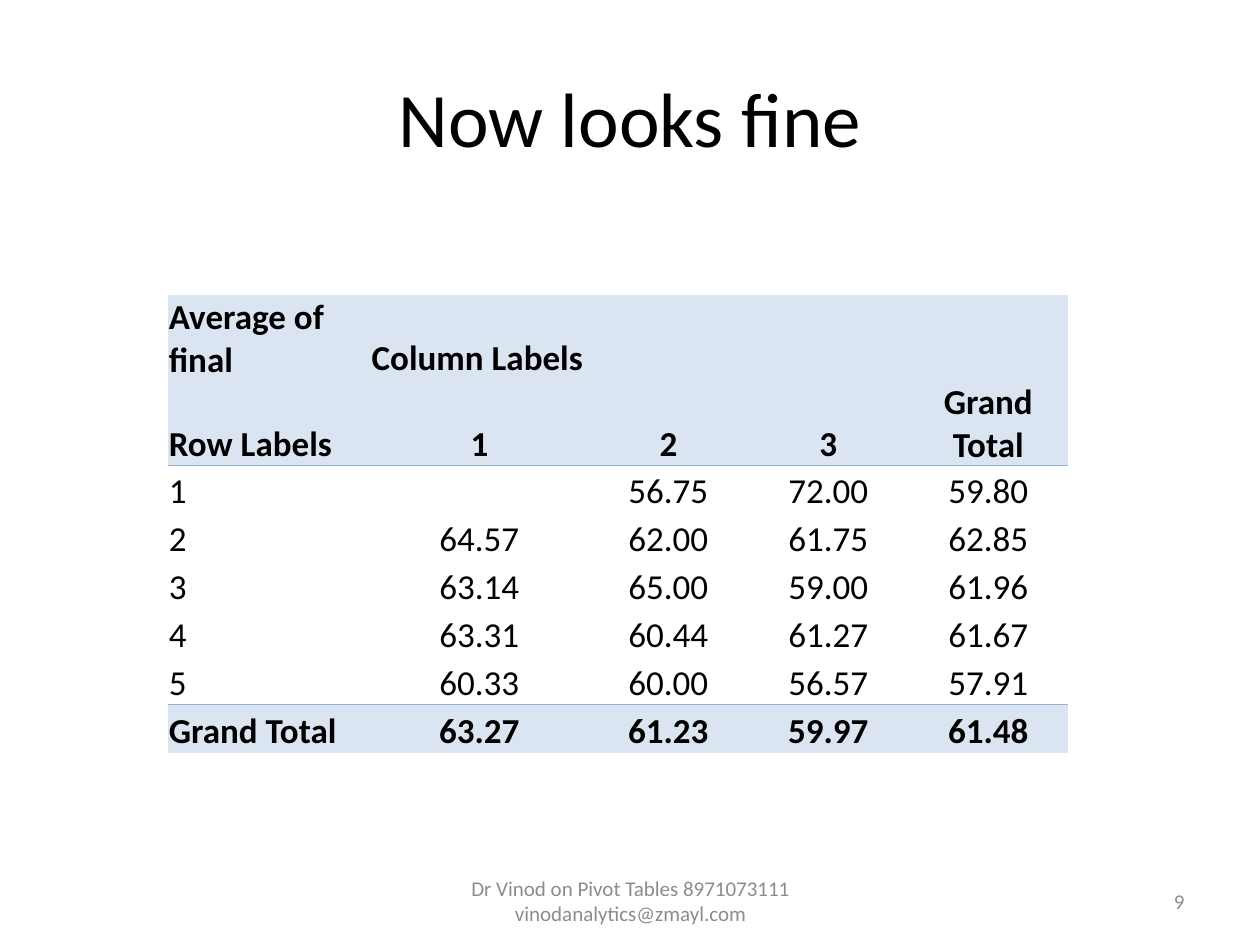
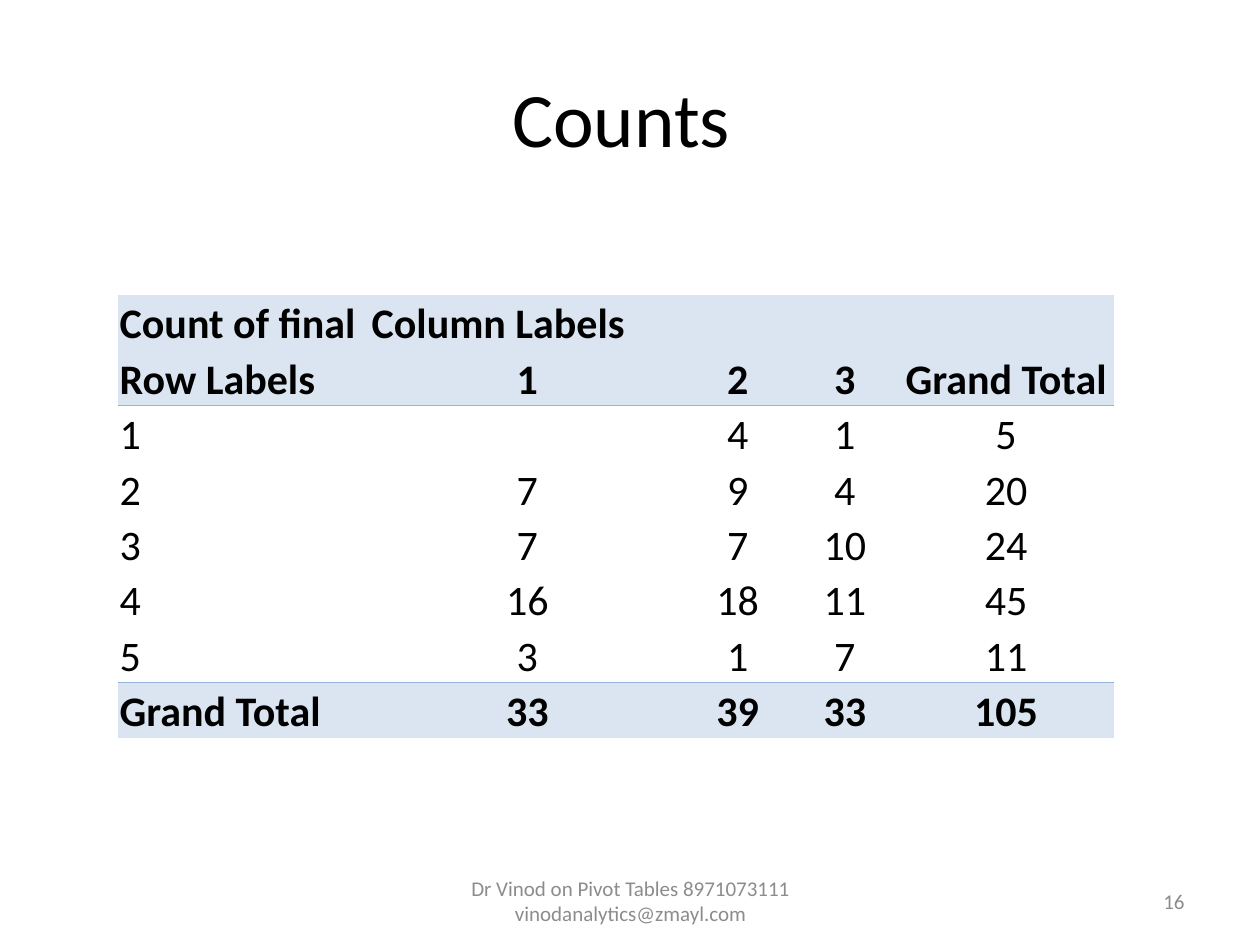
from lxml.etree import SubElement
from pptx import Presentation
from pptx.dml.color import RGBColor
from pptx.enum.text import MSO_ANCHOR, PP_ALIGN
from pptx.oxml.ns import qn
from pptx.util import Inches, Pt

FONT = "Calibri"
COLORS = {"text": "000000", "footer": "8C8C8C", "band": "DBE5F1", "rule": "95B3D7"}
FOOTER = "Dr Vinod on Pivot Tables 8971073111 vinodanalytics@zmayl.com"
PLAIN_TABLE_STYLE = "{2D5ABB26-0587-4C30-8999-92F81FD0307C}"
TABLE_TOP = 2.34

AVERAGES = [
    ["Average of final", "Column Labels", "", "", ""],
    ["Row Labels", "1", "2", "3", "Grand Total"],
    ["1", "", "56.75", "72.00", "59.80"],
    ["2", "64.57", "62.00", "61.75", "62.85"],
    ["3", "63.14", "65.00", "59.00", "61.96"],
    ["4", "63.31", "60.44", "61.27", "61.67"],
    ["5", "60.33", "60.00", "56.57", "57.91"],
    ["Grand Total", "63.27", "61.23", "59.97", "61.48"],
]
COUNTS = [
    ["Count of final", "Column Labels", "", "", ""],
    ["Row Labels", "1", "2", "3", "Grand Total"],
    ["1", "", "4", "1", "5"],
    ["2", "7", "9", "4", "20"],
    ["3", "7", "7", "10", "24"],
    ["4", "16", "18", "11", "45"],
    ["5", "3", "1", "7", "11"],
    ["Grand Total", "33", "39", "33", "105"],
]


def write_text(text_frame, text, size, color, alignment, bold=False):
    paragraph = text_frame.paragraphs[0]
    paragraph.alignment = alignment
    run = paragraph.add_run()
    run.text = text
    run.font.name = FONT
    run.font.size = Pt(size)
    run.font.bold = bold
    run.font.color.rgb = RGBColor.from_string(COLORS[color])


def add_text(slide, box, text, size, color, alignment):
    shape = slide.shapes.add_textbox(*map(Inches, box))
    text_frame = shape.text_frame
    text_frame.word_wrap = True
    text_frame.vertical_anchor = MSO_ANCHOR.MIDDLE
    write_text(text_frame, text, size, color, alignment)


def set_borders(cell, ruled_side):
    """Rule one side of a cell ("T" top, "B" bottom or None) and clear the others."""
    properties = cell._tc.get_or_add_tcPr()
    for position, side in enumerate("LRTB"):
        line = SubElement(properties, qn(f"a:ln{side}"), w=str(Pt(0.5)))
        if side == ruled_side:
            fill = SubElement(line, qn("a:solidFill"))
            SubElement(fill, qn("a:srgbClr"), val=COLORS["rule"])
        else:
            SubElement(line, qn("a:noFill"))
        properties.insert(position, line)


def fill_cell(cell, text, size, alignment, is_band):
    cell.vertical_anchor = MSO_ANCHOR.BOTTOM
    cell.margin_left = cell.margin_right = cell.margin_top = Inches(0.01)
    cell.margin_bottom = 0
    if is_band:
        cell.fill.solid()
        cell.fill.fore_color.rgb = RGBColor.from_string(COLORS["band"])
    else:
        cell.fill.background()
    if text:
        write_text(cell.text_frame, text, size, "text", alignment, is_band)


def add_pivot_table(slide, left, column_widths, row_height, size, rows):
    """Add a pivot table with two shaded heading rows and a shaded total row."""
    frame = slide.shapes.add_table(
        len(rows), len(column_widths), Inches(left), Inches(TABLE_TOP),
        Inches(sum(column_widths)), Inches(row_height * len(rows)))
    table = frame.table
    table.first_row = table.horz_banding = False
    table._tbl.tblPr.find(qn("a:tableStyleId")).text = PLAIN_TABLE_STYLE
    for column, width in zip(table.columns, column_widths):
        column.width = Inches(width)

    total_row = len(rows) - 1
    rules = {1: "B", 2: "T", total_row - 1: "B", total_row: "T"}
    for row_index, row in enumerate(rows):
        table.rows[row_index].height = Inches(row_height)
        for column_index, text in enumerate(row):
            cell = table.cell(row_index, column_index)
            is_left = column_index == 0 or row_index == 0
            alignment = PP_ALIGN.LEFT if is_left else PP_ALIGN.CENTER
            fill_cell(cell, text, size, alignment, row_index in (0, 1, total_row))
            set_borders(cell, rules.get(row_index))


def add_slide(presentation, title, number):
    """Add a slide with its title, footer and slide number."""
    slide = presentation.slides.add_slide(presentation.slide_layouts[6])
    add_text(slide, (0.5, 0.3, 9, 1.25), title, 44, "text", PP_ALIGN.CENTER)
    add_text(slide, (3.42, 6.95, 3.17, 0.4), FOOTER, 12, "footer", PP_ALIGN.CENTER)
    add_text(slide, (7.17, 6.95, 2.33, 0.4), number, 12, "footer", PP_ALIGN.RIGHT)
    return slide


def main():
    presentation = Presentation()
    presentation.slide_width = Inches(10)
    presentation.slide_height = Inches(7.5)

    slide = add_slide(presentation, "Now looks fine", "9")
    add_pivot_table(slide, 1.33, [1.61, 1.73, 1.27, 1.27, 1.27], 0.38, 20, AVERAGES)

    slide = add_slide(presentation, "Counts ", "16")
    add_pivot_table(slide, 0.94, [2, 2.49, 0.85, 0.85, 1.71], 0.44, 24, COUNTS)

    presentation.save("out.pptx")


if __name__ == "__main__":
    main()
